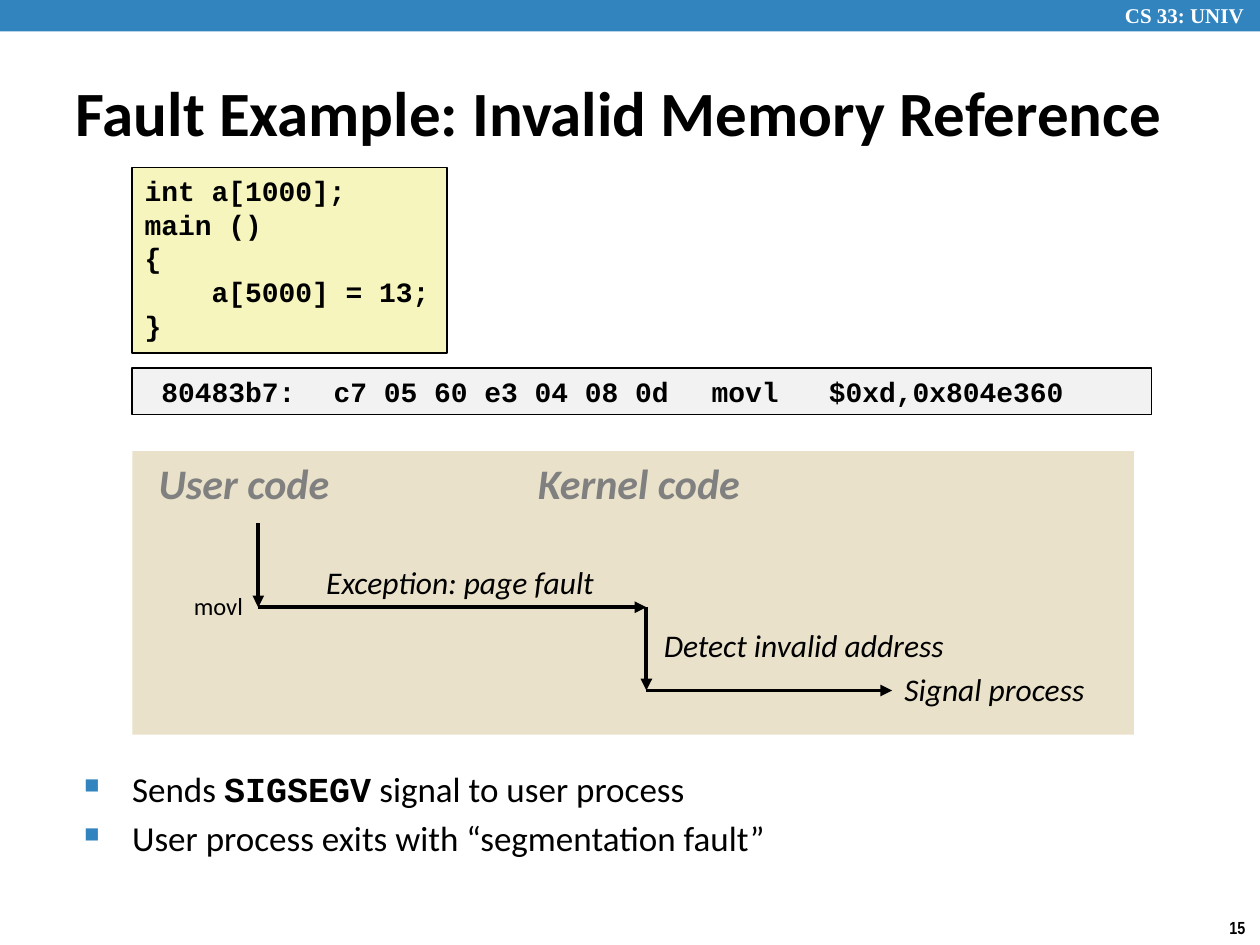
from pptx import Presentation
from pptx.dml.color import RGBColor
from pptx.enum.shapes import MSO_CONNECTOR, MSO_SHAPE
from pptx.enum.text import MSO_ANCHOR, MSO_AUTO_SIZE, PP_ALIGN
from pptx.oxml.ns import qn
from pptx.util import Inches, Pt
from lxml.etree import SubElement

COLORS = {
    "accent": "3284BF",
    "white": "FFFFFF",
    "black": "000000",
    "heading": "808080",
    "source": "F6F5BD",
    "assembly": "F2F2F2",
    "diagram": "E9E1C9",
}


def rgb(name):
    """Return the named palette colour."""
    return RGBColor.from_string(COLORS[name])


def style_run(run, size, font="Calibri", color="black", bold=False, italic=False):
    """Apply font settings to one run."""
    run.font.name = font
    run.font.size = Pt(size)
    run.font.color.rgb = rgb(color)
    run.font.bold = bold
    run.font.italic = italic


def write(frame, lines, size, wrap=False, **style):
    """Fill a text frame with left-aligned lines in one style."""
    frame.text = "\n".join(lines)
    frame.word_wrap = wrap
    frame.auto_size = MSO_AUTO_SIZE.NONE
    for paragraph in frame.paragraphs:
        paragraph.alignment = PP_ALIGN.LEFT
        for run in paragraph.runs:
            style_run(run, size, **style)


def add_label(slide, text, box, size, **style):
    """Add a one-line text box."""
    label = slide.shapes.add_textbox(*map(Inches, box))
    write(label.text_frame, [text], size, **style)


def add_panel(slide, box, fill, outlined=False):
    """Add a flat rectangle with an optional black outline."""
    panel = slide.shapes.add_shape(MSO_SHAPE.RECTANGLE, *map(Inches, box))
    panel.shadow.inherit = False
    panel.fill.solid()
    panel.fill.fore_color.rgb = rgb(fill)
    if outlined:
        panel.line.color.rgb = rgb("black")
        panel.line.width = Pt(1)
    else:
        panel.line.fill.background()
    return panel


def add_code(slide, lines, box, fill):
    """Add an outlined panel of monospaced code."""
    panel = add_panel(slide, box, fill, outlined=True)
    panel.text_frame.vertical_anchor = MSO_ANCHOR.TOP
    write(panel.text_frame, lines, 16, font="Courier New", bold=True)


def add_arrow(slide, start, end):
    """Add a straight black arrow between two points."""
    arrow = slide.shapes.add_connector(
        MSO_CONNECTOR.STRAIGHT, *map(Inches, (*start, *end)))
    arrow.line.color.rgb = rgb("black")
    arrow.line.width = Pt(2.25)
    SubElement(arrow.line._get_or_add_ln(), qn("a:tailEnd"), type="triangle")
    SubElement(arrow._element.spPr, qn("a:effectLst"))


def add_title(slide, text):
    """Place and format the title placeholder."""
    title = slide.shapes.title
    title.left, title.top, title.width, title.height = map(
        Inches, (0.5, 0.58, 9.5, 0.61))
    title.text_frame.vertical_anchor = MSO_ANCHOR.MIDDLE
    write(title.text_frame, [text], 36, wrap=True, bold=True)


def add_bullets(slide, items, box):
    """Add square-bulleted items, each a list of (text, is_code) parts."""
    frame = slide.shapes.add_textbox(*map(Inches, box)).text_frame
    frame.word_wrap = True
    for index, parts in enumerate(items):
        paragraph = frame.add_paragraph() if index else frame.paragraphs[0]
        paragraph.space_before = Pt(4)
        for text, is_code in parts:
            run = paragraph.add_run()
            run.text = text
            style_run(run, 20, "Courier New" if is_code else "Calibri", bold=is_code)
        properties = paragraph._p.get_or_add_pPr()
        properties.set("marL", str(Inches(0.38)))
        properties.set("indent", str(-Inches(0.38)))
        bullet_color = SubElement(properties, qn("a:buClr"))
        SubElement(bullet_color, qn("a:srgbClr"), val=COLORS["accent"])
        SubElement(properties, qn("a:buSzPct"), val="60000")
        SubElement(properties, qn("a:buChar"), char="■")


def add_fault_diagram(slide):
    """Draw the control flow from user code to kernel code."""
    add_panel(slide, (1.05, 3.58, 7.95, 2.25), "diagram")
    for text, left, width in (("User code", 1.16, 1.65), ("Kernel code", 4.17, 1.91)):
        add_label(slide, text, (left, 3.58, width, 0.5), 24,
                  color="heading", bold=True, italic=True)

    user_x, kernel_x, signal_x = 2.05, 5.13, 7.08
    start_y, fault_y, signal_y = 4.15, 4.82, 5.48
    flow = [(user_x, start_y), (user_x, fault_y), (kernel_x, fault_y),
            (kernel_x, signal_y), (signal_x, signal_y)]
    for start, end in zip(flow, flow[1:]):
        add_arrow(slide, start, end)

    add_label(slide, "movl", (1.44, 4.64, 0.6, 0.34), 14)
    for text, left, top, width in (
        ("Exception: page fault", 2.49, 4.42, 2.42),
        ("Detect invalid address", 5.17, 4.92, 2.5),
        ("Signal process", signal_x, 5.27, 1.75),
    ):
        add_label(slide, text, (left, top, width, 0.4), 18, italic=True)


def main():
    """Build and save the slide."""
    deck = Presentation()
    deck.slide_width, deck.slide_height = Inches(10), Inches(7.5)
    slide = deck.slides.add_slide(deck.slide_layouts[5])

    add_panel(slide, (0, 0, 10, 0.25), "accent")
    add_label(slide, "CS 33: UNIV", (8.83, -0.03, 1.24, 0.3), 12,
              font="Times New Roman", color="white", bold=True)
    add_label(slide, "15", (9.66, 7.23, 0.34, 0.27), 10,
              font="Arial Narrow", bold=True)
    add_title(slide, "Fault Example: Invalid Memory Reference")
    add_bullets(slide, [
        [("Sends ", False), ("SIGSEGV", True), (" signal to user process", False)],
        [("User process exits with “segmentation fault”", False)],
    ], (0.57, 6.04, 7.33, 0.96))
    add_code(slide, ["int a[1000];", "main ()", "{", "    a[5000] = 13;", "}"],
             (1.05, 1.33, 2.5, 1.47), "source")
    add_code(slide, [" 80483b7:\tc7 05 60 e3 04 08 0d \tmovl   $0xd,0x804e360"],
             (1.05, 2.92, 8.09, 0.37), "assembly")
    add_fault_diagram(slide)
    deck.save("out.pptx")


if __name__ == "__main__":
    main()
